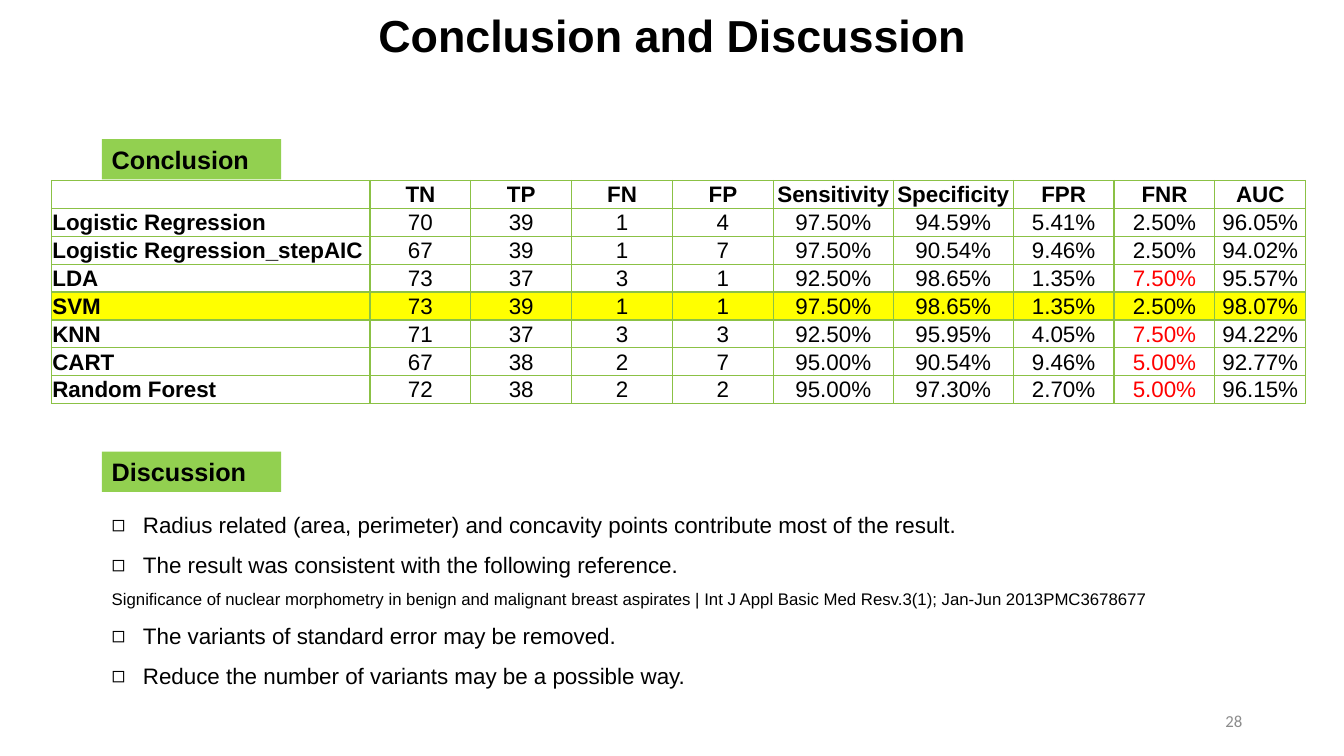
from lxml import etree
from pptx import Presentation
from pptx.dml.color import RGBColor
from pptx.enum import shapes, text
from pptx.oxml import ns
from pptx.util import Inches, Pt

COLOURS = {
    "ink": "000000",
    "label": "92D050",
    "border": "8BC145",
    "best": "FFFF00",
    "warning": "FF0000",
    "number": "8C8C8C",
}
LEFT, CENTRE, RIGHT = text.PP_ALIGN.LEFT, text.PP_ALIGN.CENTER, text.PP_ALIGN.RIGHT
MIDDLE = text.MSO_ANCHOR.MIDDLE


def write(paragraph, words, size=16, font="Arial", colour="ink", bold=False,
          align=LEFT, spacing=None, bullet=None):
    paragraph.alignment = align
    if spacing:
        paragraph.line_spacing = spacing
    if bullet:
        properties = paragraph._p.get_or_add_pPr()
        properties.set("marL", str(Inches(0.31)))
        properties.set("indent", str(-Inches(0.31)))
        etree.SubElement(properties, ns.qn("a:buFont"), typeface="Arial")
        etree.SubElement(properties, ns.qn("a:buChar"), char=bullet)
    if not words:
        etree.SubElement(paragraph._p, ns.qn("a:endParaRPr"), sz=str(size * 100))
        return
    run = paragraph.add_run()
    run.text = words
    run.font.size = Pt(size)
    run.font.name = font
    run.font.bold = bold
    run.font.color.rgb = RGBColor.from_string(COLOURS[colour])


presentation = Presentation()
presentation.slide_width = Inches(13.33)
presentation.slide_height = Inches(7.5)
slide = presentation.slides.add_slide(presentation.slide_layouts[5])

title = slide.shapes.title
title.left, title.top = Inches(0.92), Inches(-0.35)
title.width, title.height = Inches(11.5), Inches(1.45)
title.text_frame.vertical_anchor = MIDDLE
write(title.text_frame.paragraphs[0], "Conclusion and Discussion",
      size=32, bold=True, align=CENTRE, spacing=0.9)

page_number = slide.shapes.add_textbox(Inches(9.42), Inches(6.95), Inches(3), Inches(0.4))
page_number.text_frame.word_wrap = True
page_number.text_frame.vertical_anchor = MIDDLE
write(page_number.text_frame.paragraphs[0], "28", size=12, font="Calibri",
      colour="number", align=RIGHT)

results = [
    ["", "TN", "TP", "FN", "FP", "Sensitivity", "Specificity", "FPR", "FNR", "AUC"],
    ["Logistic Regression", "70", "39", "1", "4", "97.50%", "94.59%", "5.41%", "2.50%", "96.05%"],
    ["Logistic Regression_stepAIC", "67", "39", "1", "7", "97.50%", "90.54%", "9.46%", "2.50%", "94.02%"],
    ["LDA", "73", "37", "3", "1", "92.50%", "98.65%", "1.35%", "7.50%", "95.57%"],
    ["SVM", "73", "39", "1", "1", "97.50%", "98.65%", "1.35%", "2.50%", "98.07%"],
    ["KNN", "71", "37", "3", "3", "92.50%", "95.95%", "4.05%", "7.50%", "94.22%"],
    ["CART", "67", "38", "2", "7", "95.00%", "90.54%", "9.46%", "5.00%", "92.77%"],
    ["Random Forest", "72", "38", "2", "2", "95.00%", "97.30%", "2.70%", "5.00%", "96.15%"],
]
column_widths = [3.16, 1, 1, 1, 1, 1.19, 1.19, 1, 1, 0.9]
fnr_column = results[0].index("FNR")

comparison = slide.shapes.add_table(
    len(results), len(column_widths), Inches(0.51), Inches(1.79),
    Inches(sum(column_widths)), Inches(0.22 * len(results))).table
comparison.first_row = False
comparison.horz_banding = False
for column, width in zip(comparison.columns, column_widths):
    column.width = Inches(width)

for row, values in enumerate(results):
    for col, value in enumerate(values):
        cell = comparison.cell(row, col)
        cell.vertical_anchor = MIDDLE
        cell.margin_left = cell.margin_right = cell.margin_top = Inches(0.01)
        cell.margin_bottom = 0
        for edge in ("lnL", "lnR", "lnT", "lnB"):
            border = etree.SubElement(cell._tc.get_or_add_tcPr(), ns.qn("a:" + edge), w=str(Pt(1)))
            paint = etree.SubElement(border, ns.qn("a:solidFill"))
            etree.SubElement(paint, ns.qn("a:srgbClr"), val=COLOURS["border"])
        if values[0] == "SVM":
            cell.fill.solid()
            cell.fill.fore_color.rgb = RGBColor.from_string(COLOURS["best"])
        else:
            cell.fill.background()
        high_fnr = row > 0 and col == fnr_column and value != "2.50%"
        write(cell.text_frame.paragraphs[0], value,
              colour="warning" if high_fnr else "ink",
              bold=row == 0 or col == 0,
              align=CENTRE if col else LEFT)

remarks = [
    ("Radius related (area, perimeter) and concavity points contribute most of the result.", 16, "◻"),
    ("The result was consistent with the following reference.", 16, "◻"),
    ("Significance of nuclear morphometry in benign and malignant breast aspirates | "
     "Int J Appl Basic Med Resv.3(1); Jan-Jun 2013PMC3678677", 12, None),
    ("The variants of standard error may be removed.", 16, "◻"),
    ("Reduce the number of variants may be a possible way.", 16, "◻"),
]
discussion = slide.shapes.add_textbox(
    Inches(1.01), Inches(4.89), Inches(11.06), Inches(2.02)).text_frame
discussion.word_wrap = True
for index, (remark, size, bullet) in enumerate(remarks):
    paragraph = discussion.add_paragraph() if index else discussion.paragraphs[0]
    write(paragraph, remark, size=size, spacing=1.5, bullet=bullet)

for heading, top in (("Conclusion", 1.38), ("Discussion", 4.48)):
    label = slide.shapes.add_shape(
        shapes.MSO_SHAPE.RECTANGLE, Inches(1.01), Inches(top), Inches(1.78), Inches(0.4))
    label.shadow.inherit = False
    label.fill.solid()
    label.fill.fore_color.rgb = RGBColor.from_string(COLOURS["label"])
    label.line.fill.background()
    label.text_frame.vertical_anchor = text.MSO_ANCHOR.TOP
    write(label.text_frame.paragraphs[0], heading, size=18, bold=True)

presentation.save("out.pptx")
